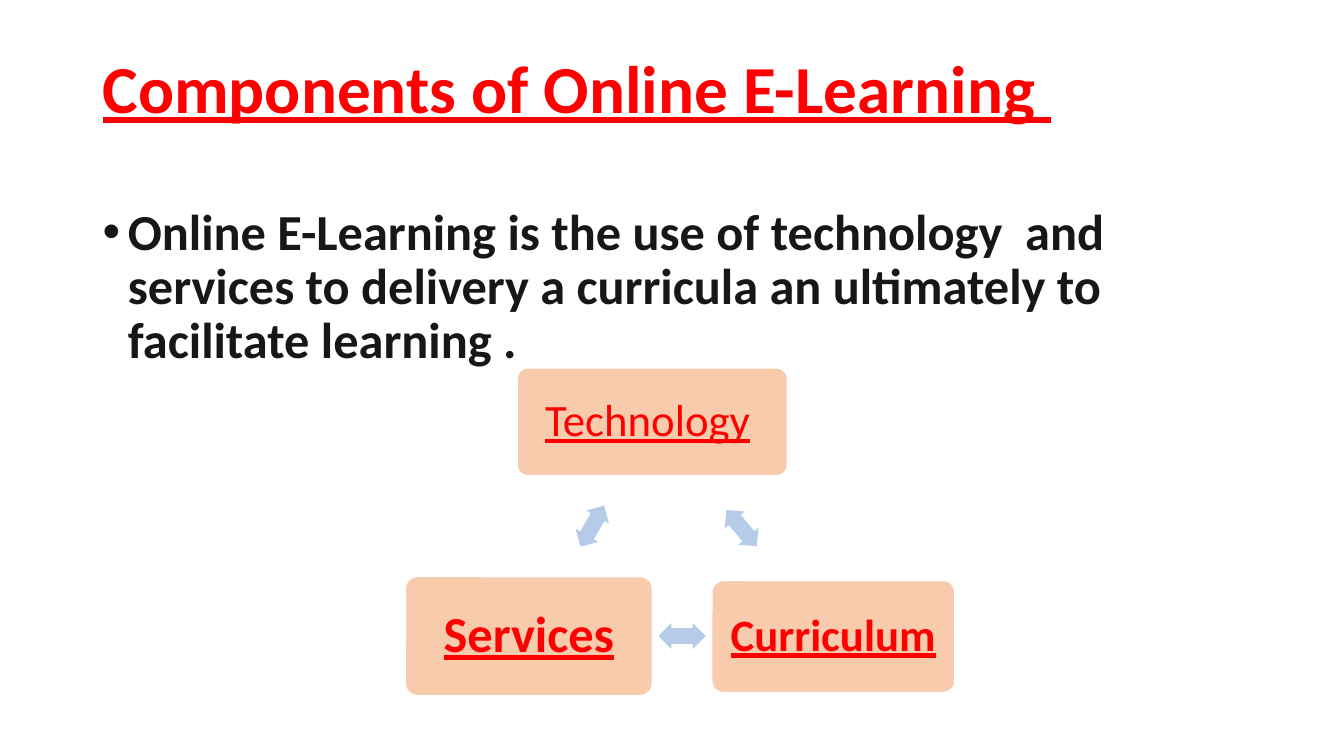
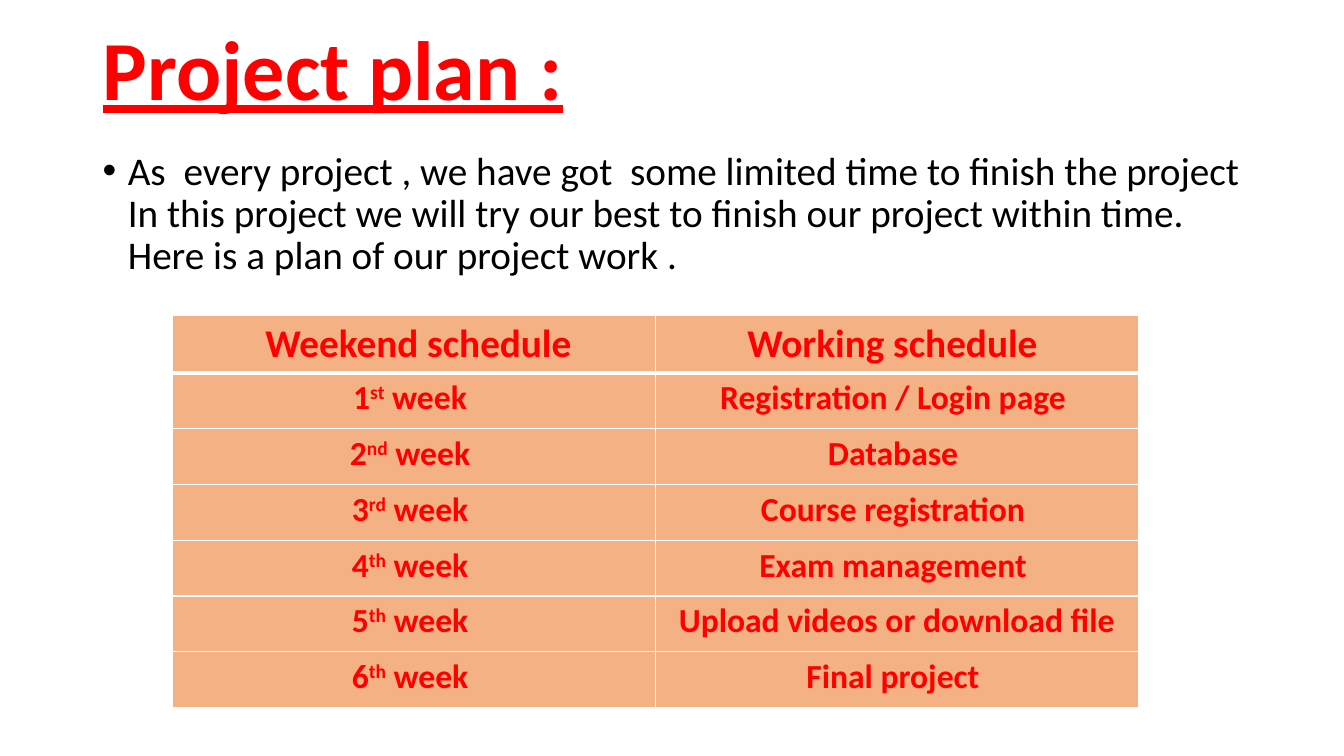
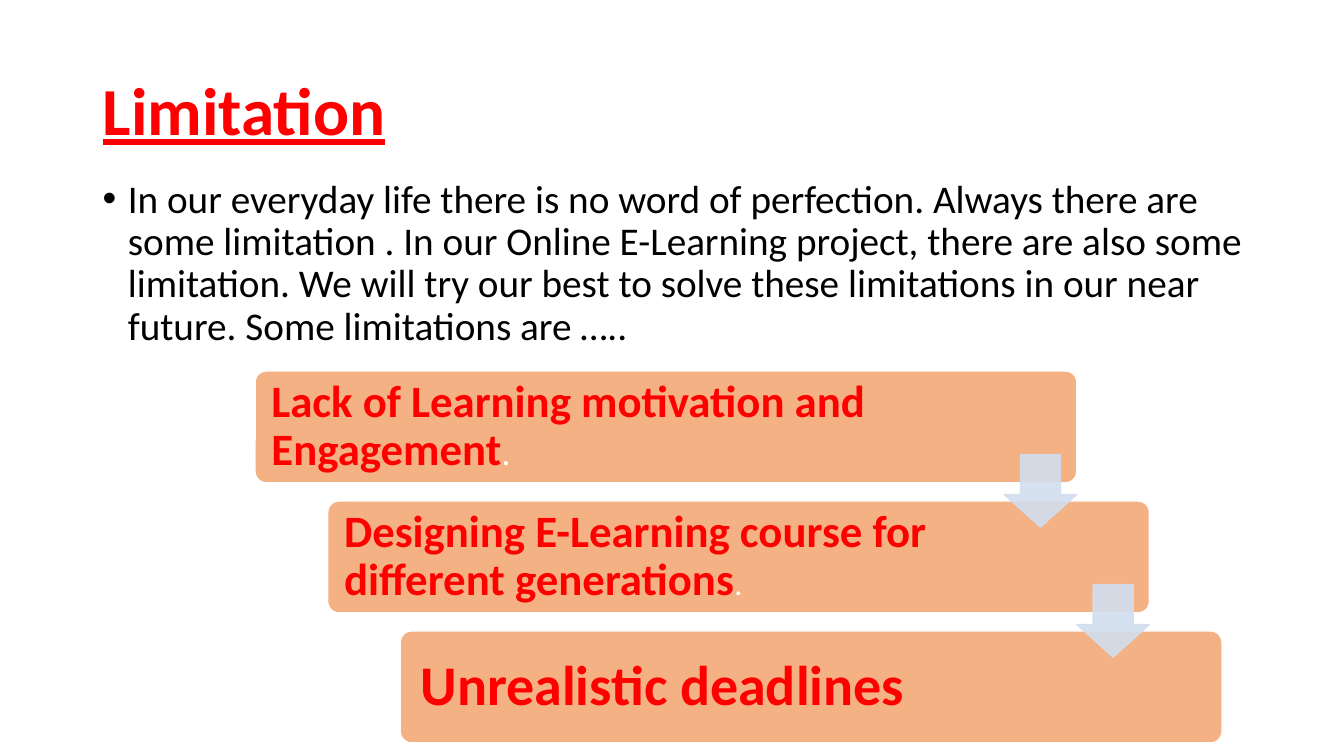
from dataclasses import dataclass

from lxml.etree import SubElement
from pptx import Presentation
from pptx.dml.color import RGBColor
from pptx.enum.shapes import MSO_SHAPE
from pptx.enum.text import MSO_ANCHOR, PP_ALIGN
from pptx.oxml.ns import qn
from pptx.util import Pt

SCALE = 9144  # 100 px to the inch


@dataclass(frozen=True)
class Theme:
    font: str = "Calibri"
    red: str = "FF0000"
    ink: str = "181717"
    black: str = "000000"
    white: str = "FFFFFF"
    peach: str = "F8CBAD"
    orange: str = "F4B183"
    blue: str = "B5CBE7"
    pale: str = "D2DEEF"
    title: int = 48
    large: int = 60
    lead: int = 36
    body: int = 28
    label: int = 32
    big: int = 40
    cell: int = 24


THEME = Theme()
LEFT, WIDE = 92, 1150


def px(*nums):
    return [round(n * SCALE) for n in nums]


def rgb(code):
    return RGBColor.from_string(code)


def add_run(para, text, size, color=THEME.red, bold=True, under=False, base=0):
    run = para.add_run()
    run.text = text
    font = run.font
    font.name, font.size = THEME.font, Pt(size)
    font.bold, font.underline = bold, under
    font.color.rgb = rgb(color)
    if base:
        run._r.get_or_add_rPr().set("baseline", str(base * 1000))


def add_text(slide, top, high, anchor):
    """Add a full-width text box and return its paragraph."""
    frame = slide.shapes.add_textbox(*px(LEFT, top, WIDE, high)).text_frame
    frame.word_wrap = True
    frame.vertical_anchor = anchor
    para = frame.paragraphs[0]
    para.line_spacing = 0.9
    return para


def add_title(slide, text, top, high=145, size=THEME.title):
    para = add_text(slide, top, high, MSO_ANCHOR.MIDDLE)
    add_run(para, text, size, under=True)


def add_body(slide, text, top, high, size=THEME.body, color=THEME.black, bold=False):
    para = add_text(slide, top, high, MSO_ANCHOR.TOP)
    para.space_before = Pt(10)
    props = para._p.get_or_add_pPr()
    indent, = px(25)
    props.set("marL", str(indent))
    props.set("indent", str(-indent))
    SubElement(props, qn("a:buFont"), typeface="Arial")
    SubElement(props, qn("a:buChar"), char="•")
    add_run(para, text, size, color, bold)


def add_shape(slide, kind, area, fill, line=None, adj=()):
    shape = slide.shapes.add_shape(kind, *px(*area))
    shape.shadow.inherit = False
    shape.fill.solid()
    shape.fill.fore_color.rgb = rgb(fill)
    if line:
        shape.line.color.rgb = rgb(line)
        shape.line.width = Pt(1)
    else:
        shape.line.fill.background()
    for i, value in enumerate(adj):
        shape.adjustments[i] = value
    return shape


def add_card(slide, area, fill, runs, inset, right=None, align=PP_ALIGN.LEFT):
    """Add a rounded box; right is the right inset where it differs."""
    card = add_shape(slide, MSO_SHAPE.ROUNDED_RECTANGLE, area, fill, THEME.white, [0.1])
    frame = card.text_frame
    frame.word_wrap = True
    frame.vertical_anchor = MSO_ANCHOR.MIDDLE
    frame.margin_left = frame.margin_top = frame.margin_bottom = px(inset)[0]
    frame.margin_right = px(right or inset)[0]
    para = frame.paragraphs[0]
    para.alignment, para.line_spacing = align, 0.9
    for run in runs:
        add_run(para, *run)


def add_link(slide, left, top, angle):
    link = add_shape(slide, MSO_SHAPE.LEFT_RIGHT_ARROW, (left, top, 47, 26),
                     THEME.blue, adj=[0.6, 0.5])
    link.rotation = angle


def add_drop(slide, left, top):
    """Add a slightly clear arrow that leads to the next step."""
    drop = add_shape(slide, MSO_SHAPE.DOWN_ARROW, (left, top, 72, 72),
                     THEME.pale, THEME.pale, [0.55, 0.45])
    for color in drop._element.spPr.iter(qn("a:srgbClr")):
        SubElement(color, qn("a:alpha"), val="90000")


def set_edges(cell, below):
    props = cell._tc.get_or_add_tcPr()
    for side, width in (("L", 1), ("R", 1), ("T", 1), ("B", below)):
        line = SubElement(props, qn("a:ln" + side), w=str(Pt(width)))
        fill = SubElement(line, qn("a:solidFill"))
        SubElement(fill, qn("a:srgbClr"), val=THEME.white)


def add_plan(slide, rows, area):
    """Add a table whose cells are lists of (text, baseline) runs."""
    table = slide.shapes.add_table(len(rows), len(rows[0]), *px(*area)).table
    for r, row in enumerate(rows):
        size, below = (THEME.cell, 1) if r else (THEME.body, 3)
        for c, runs in enumerate(row):
            cell = table.cell(r, c)
            set_edges(cell, below)
            cell.fill.solid()
            cell.fill.fore_color.rgb = rgb(THEME.orange)
            para = cell.text_frame.paragraphs[0]
            para.alignment = PP_ALIGN.CENTER
            for text, base in runs:
                add_run(para, text, size, base=base)


def draw_parts(slide):
    add_title(slide, "Components of Online E-Learning ", 27, 128)
    add_body(slide, "Online E-Learning is the use of technology  and services to "
             "delivery a curricula an ultimately to facilitate learning .",
             200, 476, THEME.lead, THEME.ink, True)
    gap = (" ", 29, THEME.white)
    cards = [
        ((513, 365, 268, 107), 13, [("Technology", THEME.label, THEME.red, False, True), gap]),
        ((706, 576, 241, 111), 13, [("Curriculum", THEME.label, THEME.red, True, True), gap]),
        ((402, 572, 245, 118), 15, [("Services", THEME.lead, THEME.red, True, True)]),
    ]
    for area, inset, runs in cards:
        add_card(slide, area, THEME.peach, runs, inset, align=PP_ALIGN.CENTER)
    for link in ((712, 511, 49.9), (653, 618, 180), (564, 509, 300)):
        add_link(slide, *link)


def draw_plan(slide):
    add_title(slide, "Project plan :", 0, size=THEME.large)
    add_body(slide, "As  every project , we have got  some limited time to finish the "
             "project In this project we will try our best to finish our project "
             "within time. Here is a plan of our project work .", 145, 578)
    tasks = ["Registration / Login page ", "Database ", "Course registration ",
             "Exam management ", "Upload videos or download file", "Final project "]
    rows = [([(" Weekend schedule", 0)], [("Working schedule ", 0)])]
    for week, task in enumerate(tasks, 1):
        end = {1: "st", 2: "nd", 3: "rd"}.get(week, "th")
        rows.append(([(str(week), 0), (end, 30), (" week ", 0)], [(task, 0)]))
    add_plan(slide, rows, (171, 313, 958, 388))


def draw_limits(slide):
    add_title(slide, "Limitation", 40)
    add_body(slide, "In our everyday life there is no word of perfection. Always there "
             "are some limitation . In our Online E-Learning project, there are also "
             "some limitation. We will try our best to solve these limitations in our "
             "near future. Some limitations are …..", 173, 547)
    steps = [
        (13, 126, [("Lack of Learning motivation and Engagement", THEME.label),
                   (".", 25, THEME.white, False)]),
        (13, 157, [("Designing E-Learning course for different generations", THEME.label),
                   (".", 23, THEME.white, False)]),
        (17, 161, [("Unrealistic deadlines", THEME.big)]),
    ]
    over, down = 72, 129
    for i, (inset, right, runs) in enumerate(steps):
        area = (253 + i * over, 368 + i * down, 815, 111)
        add_card(slide, area, THEME.orange, runs, inset, right)
    for i in range(len(steps) - 1):
        add_drop(slide, 996 + i * over, 451 + i * down)


def main():
    deck = Presentation()
    deck.slide_width, deck.slide_height = px(1333, 750)
    for draw in (draw_parts, draw_plan, draw_limits):
        draw(deck.slides.add_slide(deck.slide_layouts[6]))
    deck.save("out.pptx")


if __name__ == "__main__":
    main()
